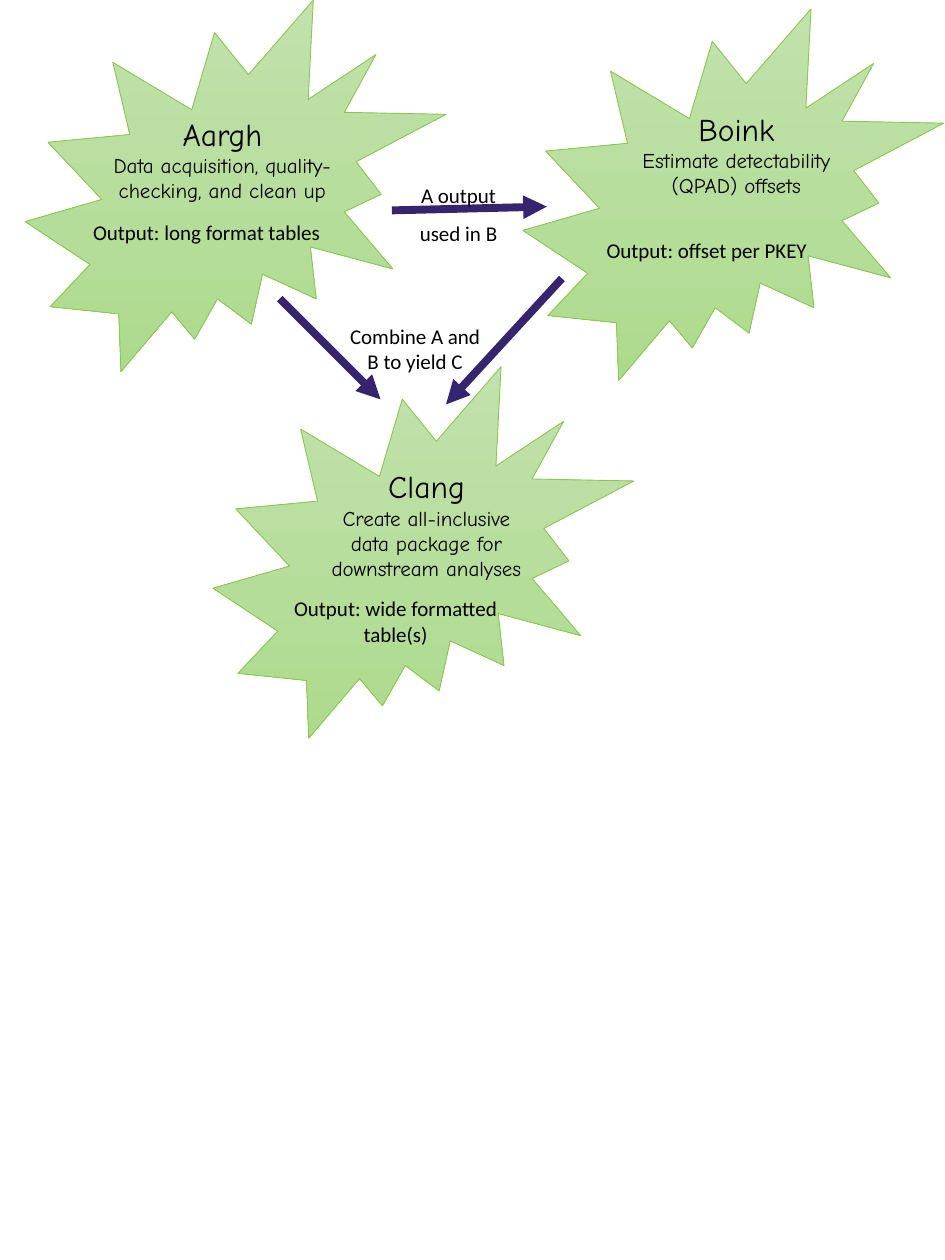
from lxml.etree import SubElement
from pptx import Presentation
from pptx.dml.color import RGBColor as Color
from pptx.enum.shapes import MSO_CONNECTOR as Connector, MSO_SHAPE as Shape
from pptx.enum.text import MSO_AUTO_SIZE as AutoSize, PP_ALIGN as Align
from pptx.oxml.ns import qn
from pptx.util import Inches, Pt

COLORS = {
    "seal_top": "C2E2AD",
    "seal_bottom": "ADDA8D",
    "seal_edge": "89C851",
    "arrow": "35256F",
    "text": "000000",
}
TITLE = {"name": "Comic Neue", "size": Pt(18)}
DETAIL = {"name": "Comic Neue", "size": Pt(12)}
BODY = {"name": "Calibri", "size": Pt(12)}
SEAL_SIZE = (3.34, 2.95)

# Seal corner, title, detail, their box, output line, its box, output wraps
STEPS = [
    ((0.2, 0), "Aargh", "Data acquisition, quality-checking, and clean up",
     (0.63, 0.86, 2.27, 0.81),
     "Output: long format tables", (0.63, 1.69, 2.02, 0.3), False),
    ((4.15, 0.07), "Boink", "Estimate detectability (QPAD) offsets",
     (4.91, 0.82, 1.87, 1.01),
     "Output: offset per PKEY", (4.7, 1.84, 1.82, 0.3), True),
    ((1.69, 2.91), "Clang",
     "Create all-inclusive data package for downstream analyses",
     (2.45, 3.66, 1.87, 1.01),
     "Output: wide formatted table(s)", (2.23, 4.68, 1.82, 0.5), True),
]
ARROWS = [
    ((3.11, 1.67), (4.34, 1.64)),
    ((2.22, 2.37), (3.02, 3.17)),
    ((4.46, 2.21), (3.54, 3.21)),
]


class FlowSlide:
    def __init__(self, slide, colors):
        self.shapes = slide.shapes
        self.colors = {name: Color.from_string(code) for name, code in colors.items()}

    def seal(self, corner):
        seal = self.shapes.add_shape(
            Shape.EXPLOSION2, *map(Inches, corner + SEAL_SIZE))
        seal.shadow.inherit = False
        seal.fill.gradient()
        seal.fill.gradient_angle = 270
        for stop, name in zip(seal.fill.gradient_stops, ("seal_top", "seal_bottom")):
            stop.color.rgb = self.colors[name]
        seal.line.color.rgb = self.colors["seal_edge"]
        seal.line.width = Pt(0.5)

    def text(self, place, lines, wrap=True, spacing=None):
        """Add a centred text box; lines are (wording, font values) pairs."""
        frame = self.shapes.add_textbox(*map(Inches, place)).text_frame
        frame.word_wrap = wrap
        frame.auto_size = AutoSize.SHAPE_TO_FIT_TEXT
        for index, (wording, style) in enumerate(lines):
            para = frame.add_paragraph() if index else frame.paragraphs[0]
            para.alignment = Align.CENTER
            para.line_spacing = spacing
            span = para.add_run()
            span.text = wording
            for name, value in style.items():
                setattr(span.font, name, value)
            span.font.color.rgb = self.colors["text"]

    def arrow(self, start, end):
        arrow = self.shapes.add_connector(
            Connector.STRAIGHT, *map(Inches, start + end))
        arrow.line.color.rgb = self.colors["arrow"]
        arrow.line.width = Pt(4.5)
        SubElement(arrow.line._get_or_add_ln(), qn("a:tailEnd"), type="triangle")
        SubElement(arrow._element.spPr, qn("a:effectLst"))


def main():
    deck = Presentation()
    deck.slide_width, deck.slide_height = Inches(7.5), Inches(10)
    page = FlowSlide(deck.slides.add_slide(deck.slide_layouts[6]), COLORS)

    for corner, title, detail, place, output, output_place, wrap in STEPS:
        page.seal(corner)
        page.text(output_place, [(output, BODY)], wrap)
        page.text(place, [(title, TITLE), (detail, DETAIL)])
    for start, end in ARROWS:
        page.arrow(start, end)
    page.text((2.91, 1.3, 1.46, 0.68),
              [("A output", BODY), ("used in B", BODY)], spacing=1.5)
    page.text((2.66, 2.52, 1.27, 0.5),
              [("Combine A and", BODY), ("B to yield C", BODY)], wrap=False)

    deck.save("out.pptx")


if __name__ == "__main__":
    main()
